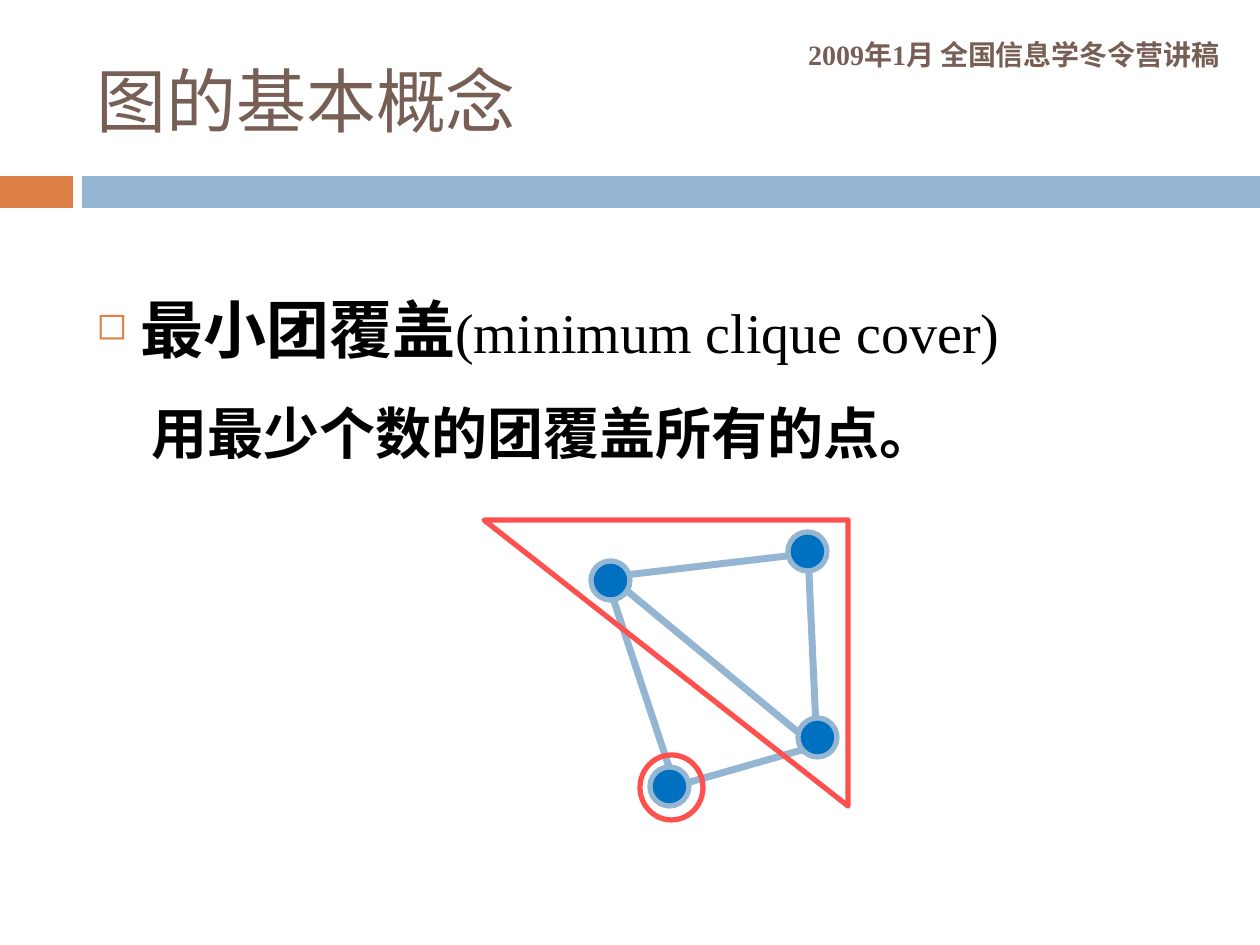
from lxml import etree
from pptx import Presentation
from pptx import util as u
from pptx.dml.color import RGBColor
from pptx.enum import shapes, text
from pptx.oxml.ns import qn

SCALE = 914400 / 126
COLORS = {
    "brown": "775F55",
    "orange": "DD8047",
    "blue": "94B6D2",
    "node": "0070C0",
    "red": "FF5050",
    "black": "000000",
}
LATIN = "Times New Roman"
CJK = "Noto Sans CJK SC"


def px(*lengths):
    return [u.Emu(round(length * SCALE)) for length in lengths]


def color(name):
    return RGBColor.from_string(COLORS[name])


class Canvas:
    """Holds the current slide and draws styled elements on it."""

    def __init__(self, slide):
        self.slide = slide

    def shape(self, kind, box, fill=None, line=None, rotation=0):
        shape = self.slide.shapes.add_shape(kind, *px(*box))
        shape.shadow.inherit = False
        shape.rotation = rotation
        if fill:
            shape.fill.solid()
            shape.fill.fore_color.rgb = color(fill)
        else:
            shape.fill.background()
        if line:
            shape.line.color.rgb = color(line)
            shape.line.width = u.Pt(3)
            etree.SubElement(shape.line._get_or_add_ln(), qn("a:round"))
        else:
            shape.line.fill.background()

    def edge(self, start, end):
        connector = self.slide.shapes.add_connector(
            shapes.MSO_CONNECTOR.STRAIGHT, *px(*start, *end))
        connector.line.color.rgb = color("blue")
        connector.line.width = u.Pt(4)
        etree.SubElement(connector._element.spPr, qn("a:effectLst"))

    def text_box(self, box, anchor):
        frame = self.slide.shapes.add_textbox(*px(*box)).text_frame
        frame.word_wrap = True
        frame.vertical_anchor = anchor
        return frame

    def run(self, paragraph, words, size, ink, bold=False, latin=LATIN):
        run = paragraph.add_run()
        run.text = words
        run.font.size = u.Pt(size)
        run.font.bold = bold
        run.font.color.rgb = color(ink)
        run.font.name = latin
        east_asian = etree.SubElement(run.font._element, qn("a:ea"))
        east_asian.set("typeface", CJK)

    def indent(self, paragraph, left, hanging=0):
        margin, first = px(left, -hanging)
        properties = paragraph._p.get_or_add_pPr()
        properties.set("marL", str(margin))
        properties.set("indent", str(first))

    def bullet(self, paragraph, character, ink, percent):
        properties = paragraph._p.get_or_add_pPr()
        bullet_color = etree.SubElement(properties, qn("a:buClr"))
        etree.SubElement(bullet_color, qn("a:srgbClr")).set("val", COLORS[ink])
        etree.SubElement(properties, qn("a:buSzPct")).set("val", str(percent * 1000))
        etree.SubElement(properties, qn("a:buChar")).set("char", character)


def draw_heading(canvas):
    rectangle = shapes.MSO_SHAPE.RECTANGLE
    canvas.shape(rectangle, (0, 176, 73, 32), fill="orange")
    canvas.shape(rectangle, (82, 176, 1178, 32), fill="blue")

    event = canvas.text_box((423, 29, 809, 50), text.MSO_ANCHOR.MIDDLE).paragraphs[0]
    event.alignment = text.PP_ALIGN.RIGHT
    canvas.run(event, "2009年1月 全国信息学冬令营讲稿", 16, "brown", bold=True)

    title = canvas.text_box((84, 32, 1124, 136), text.MSO_ANCHOR.MIDDLE).paragraphs[0]
    canvas.run(title, "图的基本概念", 40, "brown", latin=CJK)


def draw_definition(canvas):
    body = canvas.text_box((84, 241, 1124, 240), text.MSO_ANCHOR.TOP)
    term = body.paragraphs[0]
    canvas.indent(term, 44, hanging=44)
    term.line_spacing = u.Pt(68)
    canvas.bullet(term, "◻", "orange", 60)
    canvas.run(term, "最小团覆盖", 36, "black", bold=True)
    canvas.run(term, "(minimum clique cover)", 32, "black")

    meaning = body.add_paragraph()
    canvas.indent(meaning, 55)
    meaning.line_spacing = u.Pt(57)
    canvas.run(meaning, "用最少个数的团覆盖所有的点。", 32, "black", bold=True)


def draw_graph(canvas):
    edges = [
        ((611, 592), (669, 767)),
        ((808, 552), (816, 727)),
        ((626, 590), (799, 733)),
        ((669, 788), (809, 748)),
        ((617, 576), (804, 554)),
    ]
    for start, end in edges:
        canvas.edge(start, end)

    oval = shapes.MSO_SHAPE.OVAL
    diameter = 39
    for left, top in [(591, 561), (650, 767), (788, 532), (798, 718)]:
        canvas.shape(oval, (left, top, diameter, diameter), fill="node", line="blue")

    canvas.shape(oval, (640, 755, 63, 65), line="red")
    canvas.shape(shapes.MSO_SHAPE.RIGHT_TRIANGLE, (484, 520, 364, 286),
                 line="red", rotation=180)


def main():
    presentation = Presentation()
    presentation.slide_width, presentation.slide_height = px(1260, 945)
    canvas = Canvas(presentation.slides.add_slide(presentation.slide_layouts[6]))
    draw_heading(canvas)
    draw_definition(canvas)
    draw_graph(canvas)
    presentation.save("out.pptx")


if __name__ == "__main__":
    main()
